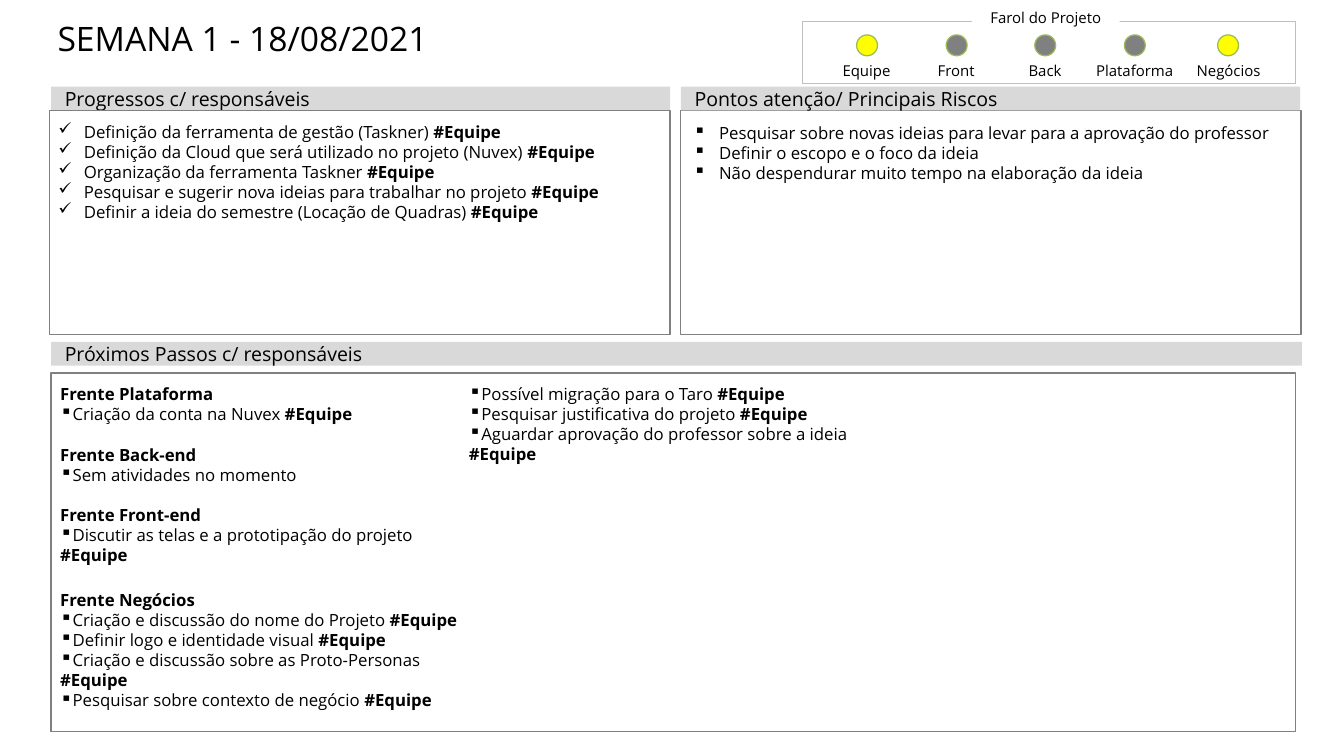
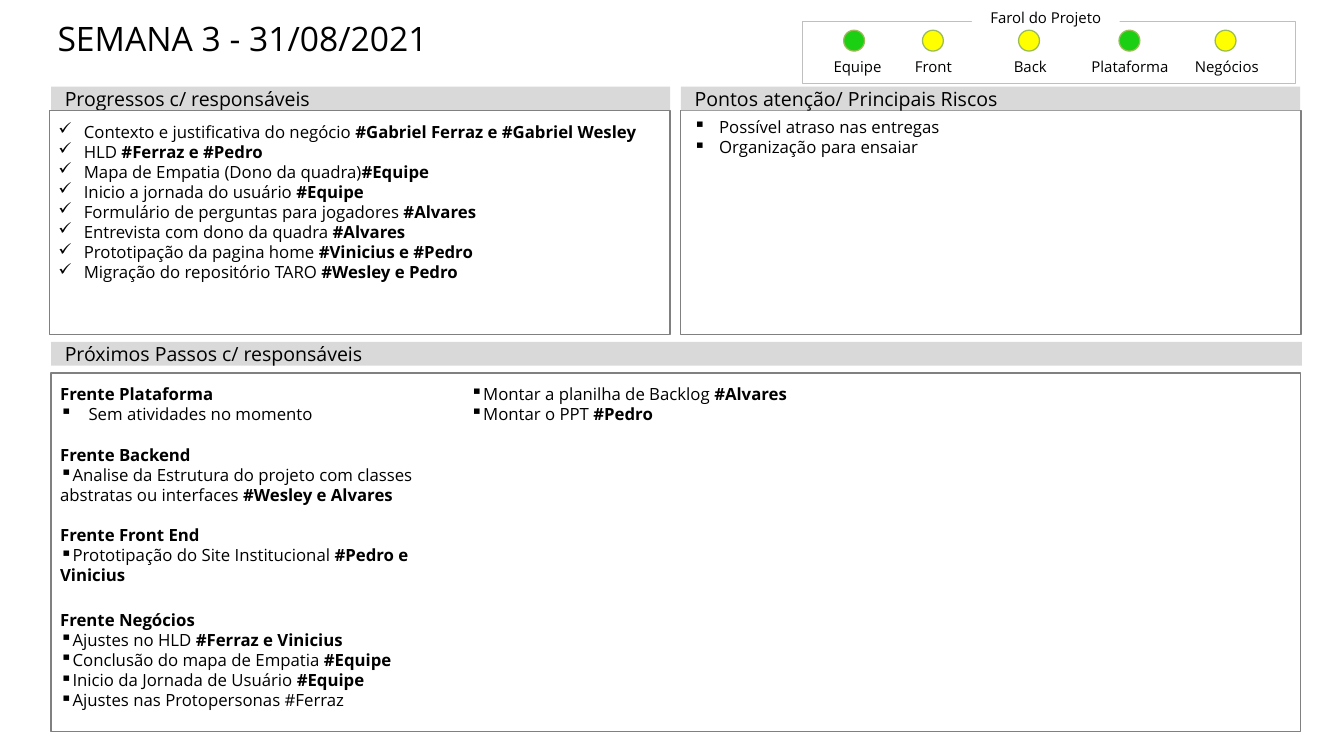
from pptx import Presentation
from pptx.dml.color import RGBColor
from pptx.enum.shapes import MSO_SHAPE
from pptx.enum.text import MSO_ANCHOR, PP_ALIGN
from pptx.oxml.ns import qn
from pptx.util import Cm, Pt
from lxml.etree import SubElement

FONT = "Open Sans"
BLACK, WHITE, GREY, BAND = "000000", "FFFFFF", "808080", "D9D9D9"
PALE, OLIVE = "BFBFBF", "9BBB59"
YELLOW, GREEN = "FFFF00", "1BCF13"
LABEL, BODY, HEAD, TITLE = 11.8, 13.2, 15.4, 26.5
HANG = 0.71
LAMPS = ["Equipe", "Front", "Back", "Plataforma", "Negócios"]

WEEKS = [
    dict(
        title="SEMANA 1 - 18/08/2021",
        lamps=[(22.83, 23.8, YELLOW), (25.32, 26.29, GREY), (27.79, 28.75, GREY),
               (30.28, 31.24, GREY), (32.89, 33.83, YELLOW)],
        lamp_top=0.97, name_top=1.7,
        done=["Definição da ferramenta de gestão (Taskner) |#Equipe",
              "Definição da Cloud que será utilizado no projeto (Nuvex) |#Equipe",
              "Organização da ferramenta Taskner |#Equipe",
              "Pesquisar e sugerir nova ideias para trabalhar no projeto |#Equipe",
              "Definir a ideia do semestre (Locação de Quadras) |#Equipe"],
        risk_top=3.28,
        risks=["Pesquisar sobre novas ideias para levar para a aprovação do professor",
               "Definir o escopo e o foco da ideia",
               "Não despendurar muito tempo na elaboração da ideia"],
        width=34.57, first=0,
        fronts=[
            ("Frente Plataforma", 0, ["Criação da conta na Nuvex |#Equipe"]),
            ("Frente Back-end", 16, ["Sem atividades no momento"]),
            ("Frente Front-end", 16,
             ["Discutir as telas e a prototipação do projeto |#Equipe"]),
            ("Frente Negócios", 19.2,
             ["Criação e discussão do nome do Projeto |#Equipe",
              "Definir logo e identidade visual |#Equipe",
              "Criação e discussão sobre as Proto-Personas |#Equipe",
              "Pesquisar sobre contexto de negócio |#Equipe",
              "Possível migração para o Taro |#Equipe",
              "Pesquisar justificativa do projeto |#Equipe",
              "Aguardar aprovação do professor sobre a ideia |#Equipe"])]),
    dict(
        title="SEMANA 3 - 31/08/2021",
        lamps=[(22.58, 23.44, GREEN), (24.69, 25.63, YELLOW), (27.38, 28.3, YELLOW),
               (30.15, 31.09, GREEN), (32.84, 33.76, YELLOW)],
        lamp_top=0.84, name_top=1.6,
        done=["Contexto e justificativa do negócio |#Gabriel Ferraz e #Gabriel Wesley",
              "HLD |#Ferraz e #Pedro",
              "Mapa de Empatia (Dono da quadra)|#Equipe",
              "Inicio a jornada do usuário |#Equipe",
              "Formulário de perguntas para jogadores |#Alvares",
              "Entrevista com dono da quadra| #Alvares",
              "Prototipação da pagina home |#Vinicius e #Pedro",
              "Migração do repositório TARO |#Wesley e Pedro"],
        risk_top=3.12,
        risks=["Possível atraso nas entregas", "Organização para ensaiar"],
        width=34.72, first=0.79,
        fronts=[
            ("Frente Plataforma", 0, ["Sem atividades no momento"]),
            ("Frente Backend", 16,
             ["Analise da Estrutura do projeto com classes abstratas ou interfaces "
              "|#Wesley e Alvares"]),
            ("Frente Front End", 16,
             ["Prototipação do Site Institucional |#Pedro e Vinicius"]),
            ("Frente Negócios", 19.2,
             ["Ajustes no HLD |#Ferraz e Vinicius",
              "Conclusão do mapa de Empatia |#Equipe",
              "Inicio da Jornada de Usuário |#Equipe",
              "Ajustes nas Protopersonas #Ferraz",
              "Montar a planilha de Backlog |#Alvares",
              "Montar o PPT |#Pedro"])]),
]


def paint(color):
    return RGBColor.from_string(color)


def setup(frame, inset, anchor=MSO_ANCHOR.TOP, wrap=True):
    (frame.margin_left, frame.margin_top,
     frame.margin_right, frame.margin_bottom) = [Cm(n) for n in inset]
    frame.vertical_anchor = anchor
    frame.word_wrap = wrap
    return frame


def shape(slide, box, fill=None, line=None, weight=1, kind=MSO_SHAPE.RECTANGLE):
    item = slide.shapes.add_shape(kind, *[Cm(n) for n in box])
    item.shadow.inherit = False
    if fill:
        item.fill.solid()
        item.fill.fore_color.rgb = paint(fill)
    else:
        item.fill.background()
    if line:
        item.line.color.rgb = paint(line)
        item.line.width = Pt(weight)
    else:
        item.line.fill.background()
    return item


def field(slide, box):
    return slide.shapes.add_textbox(*[Cm(n) for n in box])


def text(frame, words, size=BODY, align=PP_ALIGN.LEFT, before=0,
         bullet=None, left=0, hang=HANG):
    para = frame.paragraphs[0]
    if para.runs:
        para = frame.add_paragraph()
    para.alignment = align
    para.space_before = Pt(before)
    for part, bold in zip(words.split("|"), (False, True)):
        if part:
            run = para.add_run()
            run.text = part
            run.font.name = FONT
            run.font.size = Pt(size)
            run.font.bold = bold
            run.font.color.rgb = paint(BLACK)
    if bullet:
        props = para._p.get_or_add_pPr()
        props.set("marL", str(Cm(left)))
        props.set("indent", str(-Cm(hang)))
        SubElement(props, qn("a:buChar")).set("char", bullet)


def band(slide, box, words):
    frame = shape(slide, box, fill=BAND).text_frame
    text(setup(frame, (0.38, 0.18, 0.38, 0.18), MSO_ANCHOR.MIDDLE), words, size=HEAD)


def label(item, words):
    frame = setup(item.text_frame, (0.15, 0.15, 0.15, 0), MSO_ANCHOR.BOTTOM, False)
    text(frame, words, size=LABEL, align=PP_ALIGN.CENTER)


def panel(slide, box):
    frame = shape(slide, box, line=GREY).text_frame
    return setup(frame, (0.25, 0.3, 0.25, 0.13))


def status(slide, week):
    shape(slide, (22.28, 0.58, 13.72, 1.73), line=PALE, weight=0.5)
    label(shape(slide, (27, 0.15, 4.11, 0.58), fill=WHITE), "Farol do Projeto")
    for name, (left, spot, color) in zip(LAMPS, week["lamps"]):
        label(field(slide, (left, week["name_top"], 2.49, 0.51)), name)
        shape(slide, (spot, week["lamp_top"], 0.58, 0.58), fill=color,
              line=OLIVE, kind=MSO_SHAPE.OVAL)


def steps(slide, week):
    frame = panel(slide, (1.42, 10.36, week["width"], 9.96))
    frame._txBody.bodyPr.set("numCol", "3")
    left = week["first"]
    for front, gap, tasks in week["fronts"]:
        text(frame, "|" + front, before=gap)
        for task in tasks:
            text(frame, task, bullet="▪", left=left, hang=left or HANG)
            left = 0


def report(slide, week):
    title = field(slide, (1.3, 0.5, 33.6, 2.24)).text_frame
    text(setup(title, (0.3, 0, 0.3, 0)), week["title"], size=TITLE)
    status(slide, week)
    panel(slide, (18.9, 3.07, 17.25, 6.22))
    band(slide, (1.42, 2.41, 17.2, 0.66), "Progressos c/ responsáveis")
    band(slide, (18.92, 2.41, 17.2, 0.66), "Pontos atenção/ Principais Riscos")
    band(slide, (1.42, 9.5, 34.75, 0.66), "Próximos Passos c/ responsáveis")
    done = panel(slide, (1.37, 3.07, 17.25, 6.22))
    for task in week["done"]:
        text(done, task, bullet="✓", left=HANG)
    risks = field(slide, (19.02, week["risk_top"], 17.12, 1.96)).text_frame
    setup(risks, (0.25, 0.13, 0.25, 0.13))
    for risk in week["risks"]:
        text(risks, risk, bullet="▪", left=HANG)
    steps(slide, week)


def main():
    deck = Presentation()
    deck.slide_width, deck.slide_height = Cm(37.34), Cm(21)
    for week in WEEKS:
        report(deck.slides.add_slide(deck.slide_layouts[6]), week)
    deck.save("out.pptx")


main()
